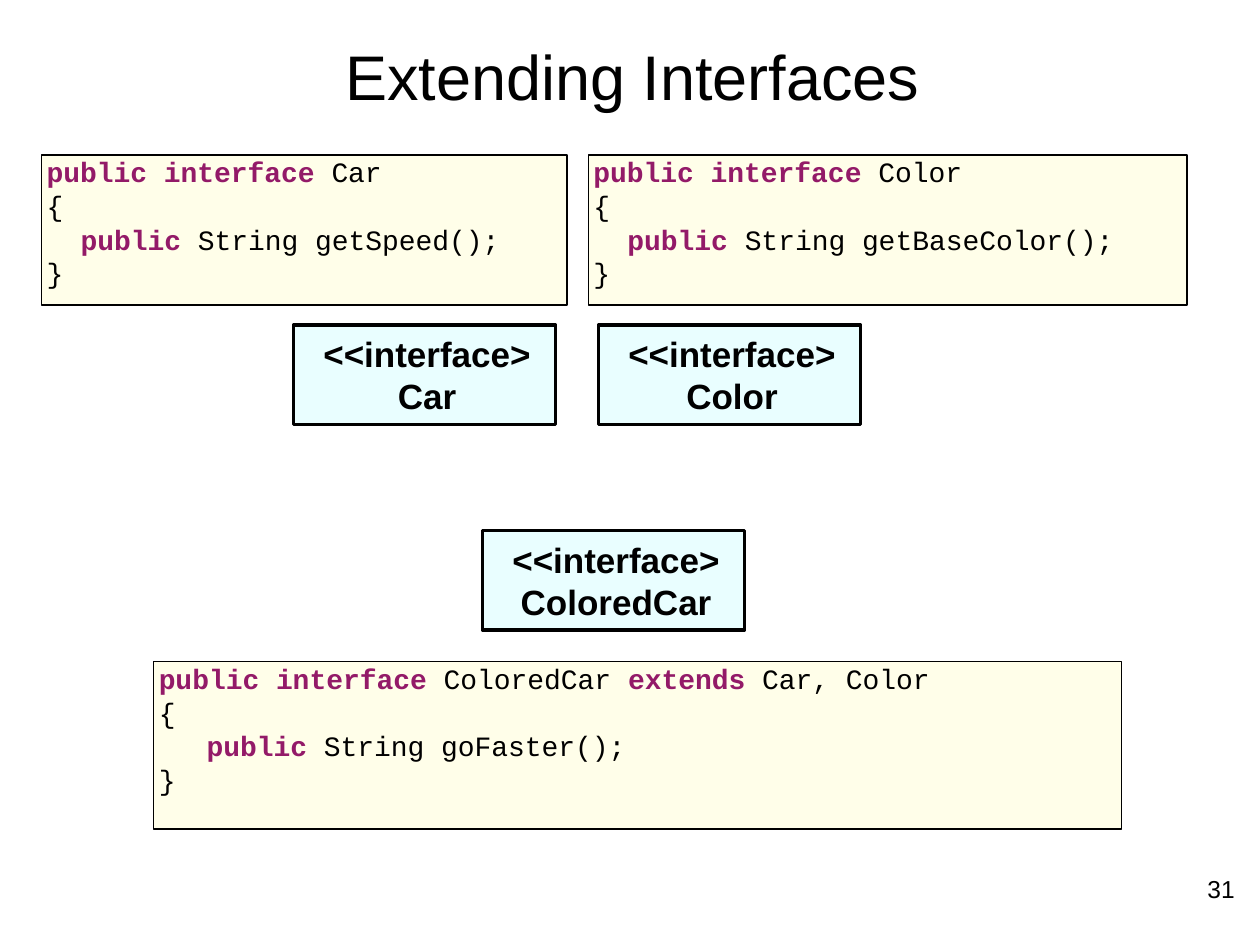
from dataclasses import dataclass

from lxml import etree
from pptx import Presentation
from pptx import util as u
from pptx.dml.color import RGBColor
from pptx.enum import shapes, text
from pptx.oxml import ns

BLACK = RGBColor(0x00, 0x00, 0x00)
KEYWORD = RGBColor(0x93, 0x1A, 0x68)
CODE_FILL = RGBColor(0xFF, 0xFE, 0xD5)
UML_FILL = RGBColor(0xD4, 0xFE, 0xFF)

KEYWORDS = {"public", "interface", "extends"}
MARGIN = 0.04
UML_W, UML_H = 2.08, 0.79
LABEL_INSET = 0.08

TITLE_FONT = {"name": "Arial", "size": u.Pt(36)}
NUMBER_FONT = {"name": "Arial", "size": u.Pt(14)}
UML_FONT = {"name": "Arial", "size": u.Pt(20), "bold": True}
CODE_FONT = {"name": "Courier New", "size": u.Pt(16)}


@dataclass
class CodeBox:
    left: float
    top: float
    width: float
    height: float
    header: str
    member: str
    indent: float


@dataclass
class UmlBox:
    left: float
    top: float
    name: str


CODE_BOXES = [
    CodeBox(1.22, 5.25, 7.68, 1.33, "public interface ColoredCar extends Car, Color",
            "public String goFaster();", 0.42),
    CodeBox(0.33, 1.23, 4.17, 1.19, "public interface Car",
            "public String getSpeed();", 0.31),
    CodeBox(4.67, 1.23, 4.75, 1.19, "public interface Color",
            "public String getBaseColor();", 0.31),
]
UML_BOXES = [
    UmlBox(2.33, 2.58, "Car"),
    UmlBox(4.75, 2.58, "Color"),
    UmlBox(3.83, 4.21, "ColoredCar"),
]


def add_run(p, content: str, font: dict, color: RGBColor = BLACK) -> None:
    r = p.add_run()
    r.text = content
    for name, value in font.items():
        setattr(r.font, name, value)
    r.font.color.rgb = color


def add_paragraph(tf, first: bool, align, indent: float = MARGIN):
    p = tf.paragraphs[0] if first else tf.add_paragraph()
    p.alignment = align
    p_pr = p._p.get_or_add_pPr()
    p_pr.set("marL", str(u.Inches(indent)))
    p_pr.set("indent", "0")
    return p


def add_text_frame(parent, left: float, top: float, width: float, height: float,
                   inset: float = 0, anchor=text.MSO_ANCHOR.TOP, wrap: bool = True):
    sp = parent.add_textbox(*map(u.Inches, (left, top, width, height)))
    tf = sp.text_frame
    settings = {"word_wrap": wrap, "vertical_anchor": anchor}
    for side in ("left", "top", "right", "bottom"):
        settings[f"margin_{side}"] = u.Inches(inset)
    for name, value in settings.items():
        setattr(tf, name, value)
    return tf


def add_panel(parent, left: float, top: float, width: float, height: float,
              fill: RGBColor, line_width: float) -> None:
    """Rectangle with a half-transparent fill and a black outline."""
    sp = parent.add_shape(shapes.MSO_SHAPE.RECTANGLE,
                          *map(u.Inches, (left, top, width, height)))
    sp.shadow.inherit = False
    sp.fill.solid()
    sp.fill.fore_color.rgb = fill
    color = sp.element.spPr.find(ns.qn("a:solidFill")).find(ns.qn("a:srgbClr"))
    etree.SubElement(color, ns.qn("a:alpha"), val="50000")
    sp.line.color.rgb = BLACK
    sp.line.width = u.Pt(line_width)


def add_centered(tf, lines: list[str], font: dict) -> None:
    for i, line in enumerate(lines):
        p = add_paragraph(tf, i == 0, text.PP_ALIGN.CENTER)
        add_run(p, line, font)


def draw_uml(s, box: UmlBox) -> None:
    group = s.shapes.add_group_shape().shapes
    add_panel(group, box.left, box.top, UML_W, UML_H, UML_FILL, 2)
    tf = add_text_frame(group, box.left + LABEL_INSET, box.top,
                        UML_W - 2 * LABEL_INSET, UML_H, 0.06,
                        text.MSO_ANCHOR.MIDDLE, wrap=False)
    add_centered(tf, ["<<interface>", box.name], UML_FONT)


def draw_code(s, box: CodeBox) -> None:
    group = s.shapes.add_group_shape().shapes
    add_panel(group, box.left, box.top, box.width, box.height, CODE_FILL, 0.75)
    tf = add_text_frame(group, box.left, box.top, box.width, 1.11)
    lines = [(box.header, MARGIN), ("{", MARGIN),
             (box.member, box.indent), ("}", MARGIN)]
    for i, (line, indent) in enumerate(lines):
        p = add_paragraph(tf, i == 0, text.PP_ALIGN.LEFT, indent)
        words = line.split(" ")
        for j, word in enumerate(words):
            gap = " " if j < len(words) - 1 else ""
            is_keyword = word in KEYWORDS
            add_run(p, word + gap, {**CODE_FONT, "bold": is_keyword},
                    KEYWORD if is_keyword else BLACK)


def main() -> None:
    prs = Presentation()
    prs.slide_width, prs.slide_height = u.Inches(10), u.Inches(7.5)
    s = prs.slides.add_slide(prs.slide_layouts[6])

    # Slide number
    tf = add_text_frame(s.shapes, 7.17, 6.94, 2.63, 0.33)
    p = add_paragraph(tf, True, text.PP_ALIGN.RIGHT)
    add_run(p, "31", NUMBER_FONT)

    # Title
    tf = add_text_frame(s.shapes, 0.5, 0, 9, 1.19, 0.06, text.MSO_ANCHOR.MIDDLE)
    add_centered(tf, ["Extending Interfaces"], TITLE_FONT)

    # Interface diagram
    for box in UML_BOXES:
        draw_uml(s, box)

    # Code listings
    for box in CODE_BOXES:
        draw_code(s, box)

    prs.save("out.pptx")


if __name__ == "__main__":
    main()
